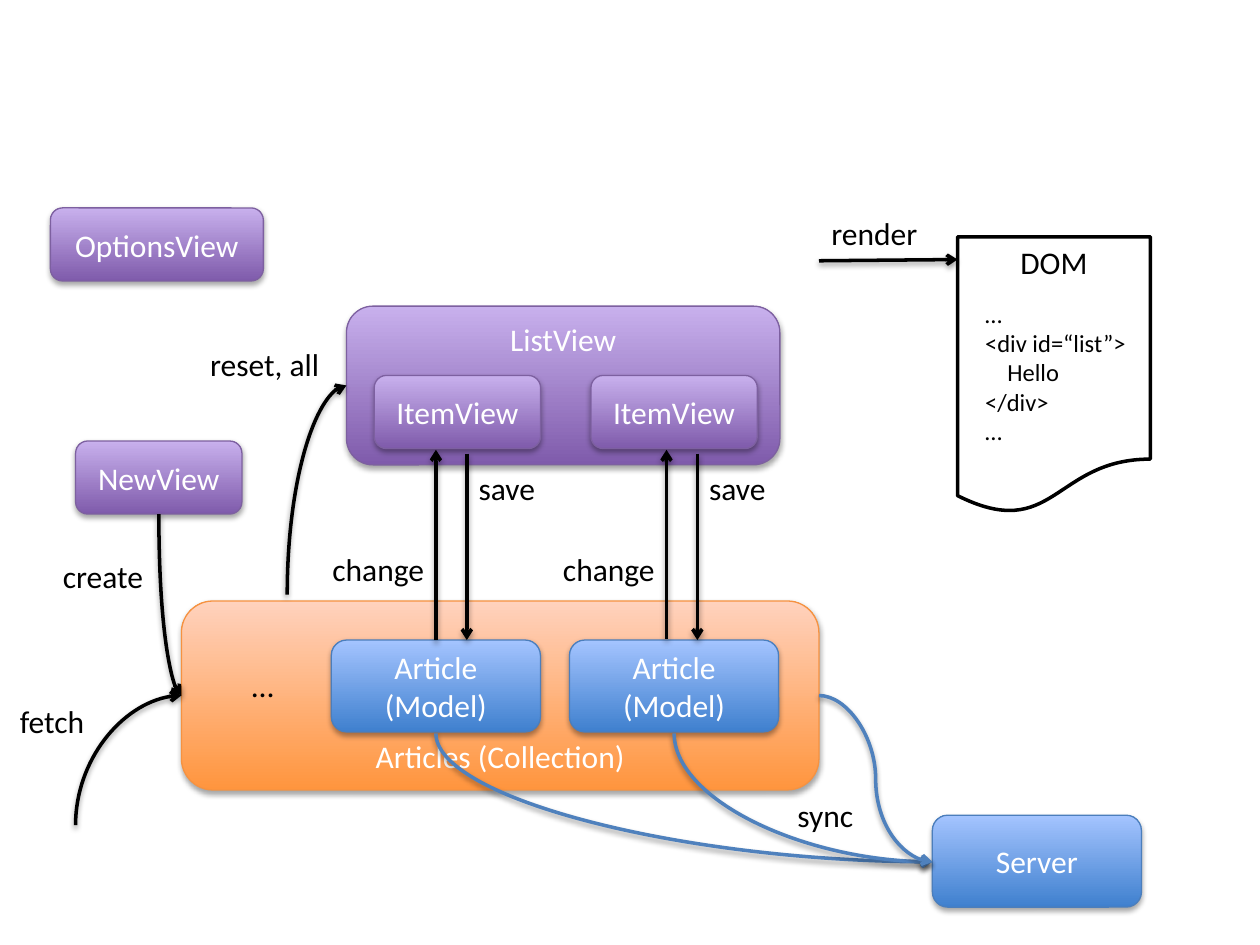
from dataclasses import dataclass
from pptx import Presentation
from pptx.dml.color import RGBColor
from pptx.enum.shapes import MSO_CONNECTOR as Link, MSO_SHAPE as Kind
from pptx.enum.text import MSO_ANCHOR as Anchor, MSO_AUTO_SIZE as Fit, PP_ALIGN as Align
from pptx.oxml import parse_xml
from pptx.oxml.ns import nsdecls
from pptx.slide import Slide
from pptx.util import Inches, Pt

BLACK = RGBColor(0x00, 0x00, 0x00)
WHITE = RGBColor(0xFF, 0xFF, 0xFF)
SYNC = RGBColor(0x4F, 0x81, 0xBD)
# Each theme: bottom colour, top colour, outline
VIEW = RGBColor(0x7F, 0x5B, 0xAB), RGBColor(0xC8, 0xB0, 0xED), RGBColor(0x7D, 0x60, 0xA0)
MODEL = RGBColor(0x3F, 0x80, 0xCE), RGBColor(0xA4, 0xC4, 0xFF), RGBColor(0x4B, 0x7E, 0xBC)
GROUP = RGBColor(0xFF, 0x95, 0x3E), RGBColor(0xFF, 0xD2, 0xBD), RGBColor(0xF6, 0x92, 0x40)

COLS, ROWS = 100, 75
CELL = Inches(0.1)


def grid(*cells):
    return [round(c * CELL) for c in cells]


def shade(shape, dist, alpha):
    """Add a soft shadow below; the outline must be set first."""
    shape._element.spPr.append(parse_xml(
        f'<a:effectLst {nsdecls("a")}>'
        f'<a:outerShdw blurRad="40000" dist="{dist}" dir="5400000" rotWithShape="0">'
        f'<a:srgbClr val="000000"><a:alpha val="{alpha}000"/></a:srgbClr>'
        '</a:outerShdw></a:effectLst>'))


@dataclass
class Board:
    """Draws on one slide; all places are in grid cells."""
    slide: Slide
    font: str = "Calibri"
    size: int = 18
    width: float = 2

    def fill_text(self, frame, text, color, size=None, align=Align.LEFT):
        frame.text = text
        for para in frame.paragraphs:
            para.alignment = align
            para.font.name = self.font
            para.font.size = Pt(size or self.size)
            para.font.color.rgb = color

    def box(self, text, theme, place, anchor=Anchor.MIDDLE):
        shape = self.slide.shapes.add_shape(Kind.ROUNDED_RECTANGLE, *grid(*place))
        low, high, edge = theme
        shape.fill.gradient()
        shape.fill.gradient_angle = 90
        for stop, color in zip(shape.fill.gradient_stops, (low, high)):
            stop.color.rgb = color
        shape.line.color.rgb = edge
        shape.line.width = Pt(0.75)
        shade(shape, 23000, 35)
        shape.text_frame.vertical_anchor = anchor
        self.fill_text(shape.text_frame, text, WHITE, align=Align.CENTER)
        return shape

    def page(self, text, place):
        shape = self.slide.shapes.add_shape(Kind.FLOWCHART_DOCUMENT, *grid(*place))
        shape.shadow.inherit = False
        shape.fill.solid()
        shape.fill.fore_color.rgb = WHITE
        shape.line.color.rgb = BLACK
        shape.line.width = Pt(self.width)
        shape.text_frame.vertical_anchor = Anchor.TOP
        self.fill_text(shape.text_frame, text, BLACK, align=Align.CENTER)

    def label(self, text, place, wrap=False, size=None):
        frame = self.slide.shapes.add_textbox(*grid(*place)).text_frame
        frame.word_wrap = wrap
        frame.auto_size = Fit.SHAPE_TO_FIT_TEXT
        self.fill_text(frame, text, BLACK, size)

    def arrow(self, start, end, color=BLACK, kind=Link.STRAIGHT):
        line = self.slide.shapes.add_connector(kind, *grid(*start, *end))
        line.line.color.rgb = color
        line.line.width = Pt(self.width)
        line.line._get_or_add_ln().append(
            parse_xml(f'<a:tailEnd {nsdecls("a")} type="arrow"/>'))
        shade(line, 20000, 38)
        return line

    def bend(self, start, end, color=BLACK):
        """Quarter curve that leaves vertically and arrives horizontally."""
        line = self.arrow(start, end, color, Link.CURVE)
        props = line._element.spPr
        props.prstGeom.set("prst", "curvedConnector2")
        (x1, y1), (x2, y2) = start, end
        wide, high = abs(y2 - y1), abs(x2 - x1)
        left, top = (x1 + x2 - wide) / 2, (y1 + y2 - high) / 2
        line.left, line.top, line.width, line.height = grid(left, top, wide, high)
        rises = y2 < y1
        props.xfrm.set("rot", "5400000" if rises else "16200000")
        props.xfrm.set("flipH", "1")
        props.xfrm.set("flipV", "1" if rises else "0")


def main():
    deck = Presentation()
    deck.slide_width, deck.slide_height = grid(COLS, ROWS)
    board = Board(deck.slides.add_slide(deck.slide_layouts[6]))

    board.box("ListView", VIEW, (27.5, 24.3, 34.4, 12.6), Anchor.TOP)
    board.box("Articles (Collection)", GROUP, (14.4, 47.7, 50.6, 15), Anchor.BOTTOM)
    board.box("Server", MODEL, (74, 64.7, 16.6, 7.3))
    board.box("NewView", VIEW, (6, 35, 13.2, 5.8))
    board.box("OptionsView", VIEW, (4, 16.5, 16.9, 5.8))

    # Columns of each view-and-model pair: item, article, rising arrow
    lifts = []
    for item, model, lift in ((29.7, 26.3, 34.6), (46.9, 45.2, 52.9)):
        board.box("ItemView", VIEW, (item, 29.8, 13.2, 5.8))
        article = board.box("Article (Model)", MODEL, (model, 50.8, 16.6, 7.3))
        lifts.append((board.arrow((lift, 50.7), (lift, 35.7)), article))
        board.arrow((lift + 2.45, 36), (lift + 2.45, 50.8))
        board.label("save", (lift + 2.4, 36.7, 6.6, 4))
        board.label("change", (lift - 9.2, 43.2, 9.4, 4))
    first, article = lifts[0]
    first.begin_connect(article, 0)

    for text, place in (("sync", (62.3, 62.7, 6.5, 4)), ("…", (19, 52.4, 3.8, 4)),
                        ("render", (65, 16.5, 8.9, 4)), ("fetch", (0.6, 55.2, 7.3, 4))):
        board.label(text, place)
    board.label("reset, all", (15.7, 26.9, 10.7, 4), wrap=True)
    board.label("create", (4, 43.7, 8.5, 4))

    board.page("DOM", (76, 18.8, 15.3, 22))
    board.label("…\n<div id=“list”>\n    Hello\n</div>\n…",
                (77.2, 23.2, 14.1, 12.8), wrap=True, size=14)
    board.arrow((65, 20.7), (76, 20.6))

    entry, server = (14.4, 55.2), (74, 68.4)
    board.bend((22.8, 47.2), (27.5, 30.6))
    board.bend((12.6, 40.8), entry)
    board.bend((6, 65.5), entry)
    for x in (34.6, 53.5):
        board.bend((x, 58.2), server, SYNC)
    board.arrow((65, 55.2), server, SYNC, Link.CURVE)

    deck.save("out.pptx")


if __name__ == "__main__":
    main()
